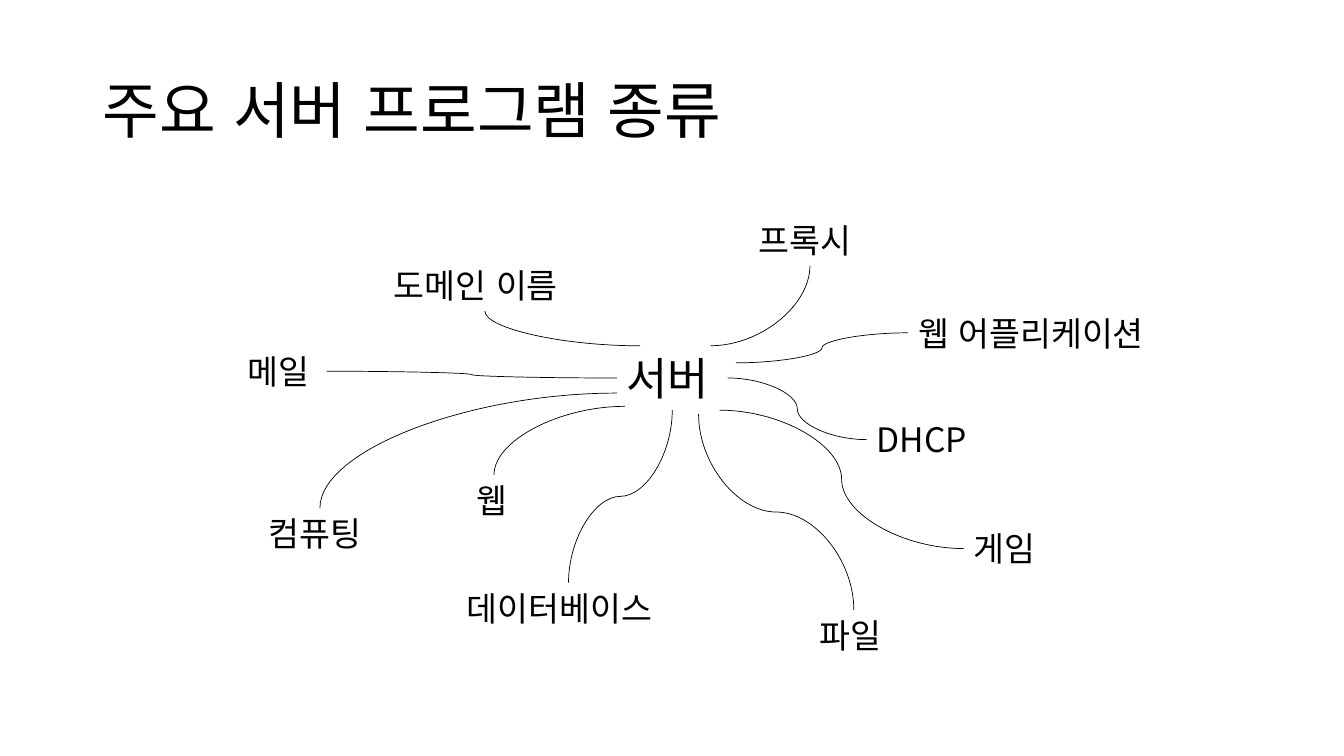
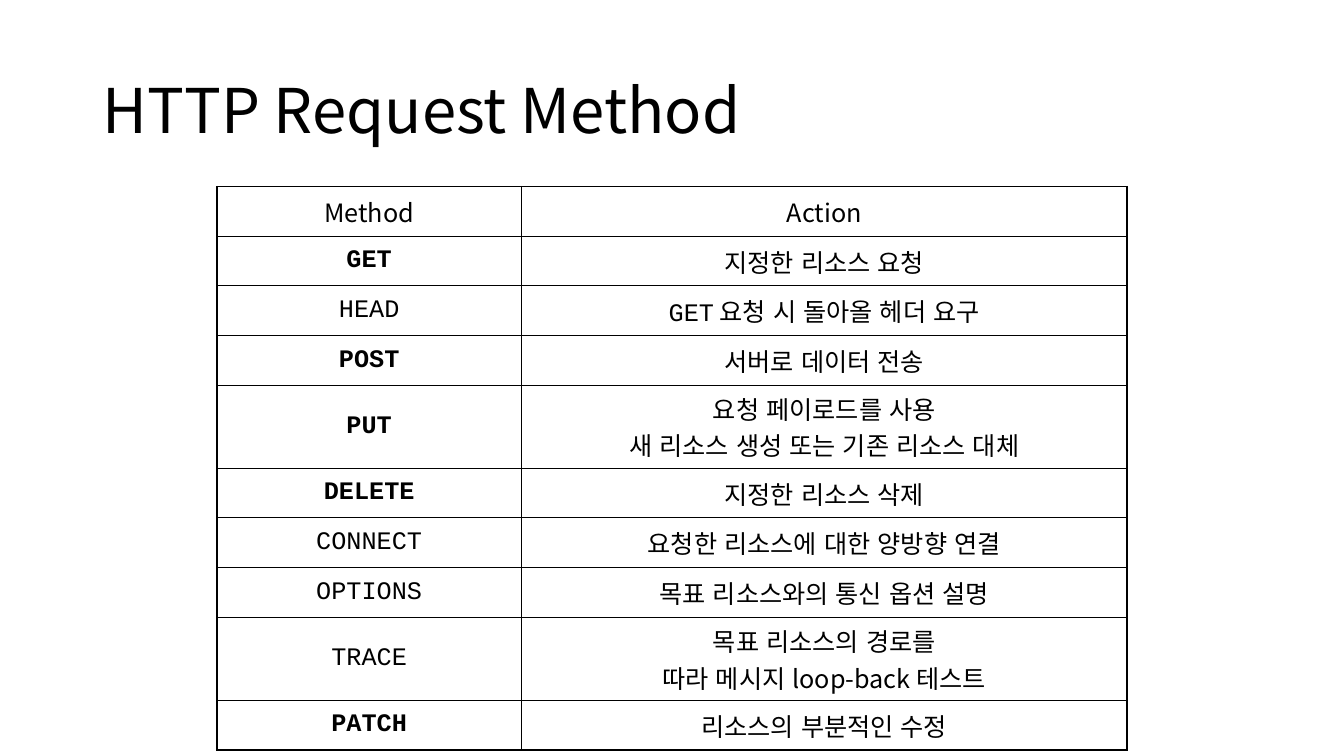
"""Build two slides: a map of server kinds and a table of HTTP methods."""
import math
from dataclasses import dataclass

from lxml import etree
from pptx import Presentation
from pptx import util as u
from pptx.dml import color
from pptx.enum import lang, shapes, text
from pptx.oxml import ns


@dataclass(frozen=True)
class Theme:
    """Colours, fonts and sizes shared by the slides."""
    ink: color.RGBColor = color.RGBColor(0, 0, 0)
    sans: str = "Noto Sans CJK KR"
    mono: str = "Courier New"
    title: int = 44
    hub: int = 32
    label: int = 24
    cell: int = 18
    curve: float = 0.5
    border: float = 1
    label_height: float = 36.3


THEME = Theme()
TITLE_BOX = (66.2, 28.8, 828, 104.4)
HUB = ("서버", (440.6, 247, 79.2, 46.1))

# label, (left, top, width), joined side, start at the hub, leaving direction
SPOKES = [
    ("컴퓨팅", (185, 362.9, 87.1), "top", (440.6, 280.8), "across"),
    ("데이터베이스", (326.2, 416.2, 159.8), "top", (480.2, 293), "down"),
    ("파일", (578.2, 435.6, 63.4), "top", (499, 295.9), "down"),
    ("게임", (688.3, 373.7, 63.4), "left", (514.1, 293), "across"),
    ("메일", (169.9, 247, 63.4), "right", (440.6, 270), "across"),
    ("프록시", (535, 153.4, 87.1), "bottom", (507.6, 247), "across"),
    ("웹", (333.4, 339.1, 38.9), "top", (446.4, 290.2), "across"),
    ("도메인 이름", (274.3, 185.8, 144), "bottom", (457.2, 247), "across"),
    ("DHCP", (619.2, 295.9, 80), "left", (519.8, 270), "across"),
    ("웹 어플리케이션", (648.7, 219.6, 193), "left", (525.6, 259.2), "across"),
]
SIDES = {"top": (0.5, 0), "bottom": (0.5, 1), "left": (0, 0.5), "right": (1, 0.5)}

TABLE_AT = (155, 133.2)
COLUMNS = (217.4, 432.7)
ROW_HEIGHTS = {1: 35.5, 2: 59.3}
HEADINGS = ("Method", "Action")
METHODS = [
    ("GET", True, [["지정한 리소스 요청"]]),
    ("HEAD", False, [["GET", " 요청 시 돌아올 헤더 요구"]]),
    ("POST", True, [["서버로 데이터 전송"]]),
    ("PUT", True, [["요청 페이로드를 사용"], ["새 리소스 생성 또는 기존 리소스 대체"]]),
    ("DELETE", True, [["지정한 리소스 삭제"]]),
    ("CONNECT", False, [["요청한 리소스에 대한 양방향 연결"]]),
    ("OPTIONS", False, [["목표 리소스와의 통신 옵션 설명"]]),
    ("TRACE", False, [["목표 리소스의 경로를"], ["따라 메시지 loop-back 테스트"]]),
    ("PATCH", True, [["리소스의 부분적인 수정"]]),
]


def assign(target, values):
    """Set attributes of an object from a dict."""
    for name, value in values.items():
        setattr(target, name, value)


def add_span(para, words, size, face=THEME.sans, bold=False):
    """Append one formatted run to a paragraph."""
    span = para.add_run()
    span.text = words
    assign(span.font, {"size": u.Pt(size), "name": face, "bold": bold,
                       "language_id": lang.MSO_LANGUAGE_ID.KOREAN})
    span.font.color.rgb = THEME.ink
    east = etree.SubElement(span._r.get_or_add_rPr(), ns.qn("a:ea"))
    east.set("typeface", THEME.sans)


def add_text(page, words, place, size, frame_format):
    """Add a one-paragraph text box and return its paragraph."""
    box = page.shapes.add_textbox(*map(u.Pt, place))
    assign(box.text_frame, frame_format)
    para = box.text_frame.paragraphs[0]
    add_span(para, words, size)
    return para


def add_page(deck, title):
    """Add a blank slide with the shared title."""
    page = deck.slides.add_slide(deck.slide_layouts[6])
    frame_format = {"word_wrap": True, "vertical_anchor": text.MSO_ANCHOR.MIDDLE}
    add_text(page, title, TITLE_BOX, THEME.title, frame_format).line_spacing = 0.9
    return page


def add_label(page, words, place, size):
    """Add an unwrapped label that grows with its text."""
    add_text(page, words, place, size, {
        "word_wrap": False, "auto_size": text.MSO_AUTO_SIZE.SHAPE_TO_FIT_TEXT})


def add_curve(page, start, end, leaving, quarter):
    """Draw a curve, turned so that it leaves in the given direction."""
    leftward = end[0] < start[0]
    if leaving == "down":
        turn = 90 if leftward else 270
    else:
        turn = 180 if leftward else 0
    cos, sin = math.cos(math.radians(turn)), math.sin(math.radians(turn))
    half_x, half_y = ((b - a) / 2 for a, b in zip(start, end))
    mid_x, mid_y = start[0] + half_x, start[1] + half_y
    reach_x, reach_y = half_x * cos + half_y * sin, half_y * cos - half_x * sin
    ends = (mid_x - reach_x, mid_y - reach_y, mid_x + reach_x, mid_y + reach_y)
    curve = page.shapes.add_connector(shapes.MSO_CONNECTOR.CURVE, *map(u.Pt, ends))
    curve.line.width = u.Pt(THEME.curve)
    curve.line.color.rgb = THEME.ink
    props = curve._element.spPr
    if turn:
        props.find(ns.qn("a:xfrm")).set("rot", str(turn * 60000))
    if quarter:
        props.find(ns.qn("a:prstGeom")).set("prst", "curvedConnector2")
    etree.SubElement(props, ns.qn("a:effectLst"))


def add_spoke(page, words, place, side, start, leaving):
    """Add a label and the curve that joins it to the hub."""
    left, top, width = place
    height = THEME.label_height
    add_label(page, words, (left, top, width, height), THEME.label)
    across, down = SIDES[side]
    end = (left + across * width, top + down * height)
    quarter = leaving == "across" and side in ("top", "bottom")
    add_curve(page, start, end, leaving, quarter)


def add_borders(cell):
    """Give a cell a solid line on all four sides."""
    props = cell._tc.get_or_add_tcPr()
    for side in ("lnL", "lnR", "lnT", "lnB"):
        line = etree.SubElement(props, ns.qn(f"a:{side}"), w=str(u.Pt(THEME.border)))
        fill = etree.SubElement(line, ns.qn("a:solidFill"))
        etree.SubElement(fill, ns.qn("a:srgbClr"), val=str(THEME.ink))


def fill_cell(cell, paragraphs, face=THEME.sans, bold=False):
    """Write centred paragraphs, with method names in the fixed-width face."""
    add_borders(cell)
    cell.fill.background()
    cell.vertical_anchor = text.MSO_ANCHOR.MIDDLE
    names = {name for name, *_ in METHODS}
    for index, spans in enumerate(paragraphs):
        frame = cell.text_frame
        para = frame.add_paragraph() if index else frame.paragraphs[0]
        para.alignment = text.PP_ALIGN.CENTER
        for words in spans:
            add_span(para, words, THEME.cell, THEME.mono if words in names else face, bold)


def add_method_table(page):
    """Add the table of request methods, with rows as tall as their text."""
    heights = [ROW_HEIGHTS[1]] + [ROW_HEIGHTS[len(action)] for *_, action in METHODS]
    size = (sum(COLUMNS), sum(heights))
    frame = page.shapes.add_table(len(heights), len(COLUMNS), *map(u.Pt, TABLE_AT + size))
    table = frame.table
    assign(table, {"first_row": False, "horz_banding": False})
    for column, width in zip(table.columns, COLUMNS):
        column.width = u.Pt(width)
    for row, height in zip(table.rows, heights):
        row.height = u.Pt(height)
    for column, heading in enumerate(HEADINGS):
        fill_cell(table.cell(0, column), [[heading]])
    for row, (name, bold, action) in enumerate(METHODS, start=1):
        fill_cell(table.cell(row, 0), [[name]], THEME.mono, bold)
        fill_cell(table.cell(row, 1), action)


def main():
    """Build and save the deck."""
    deck = Presentation()
    assign(deck, {"slide_width": u.Pt(960), "slide_height": u.Pt(540)})
    server_page = add_page(deck, "주요 서버 프로그램 종류")
    add_label(server_page, *HUB, THEME.hub)
    for spoke in SPOKES:
        add_spoke(server_page, *spoke)
    add_method_table(add_page(deck, "HTTP Request Method"))
    deck.save("out.pptx")


main()
